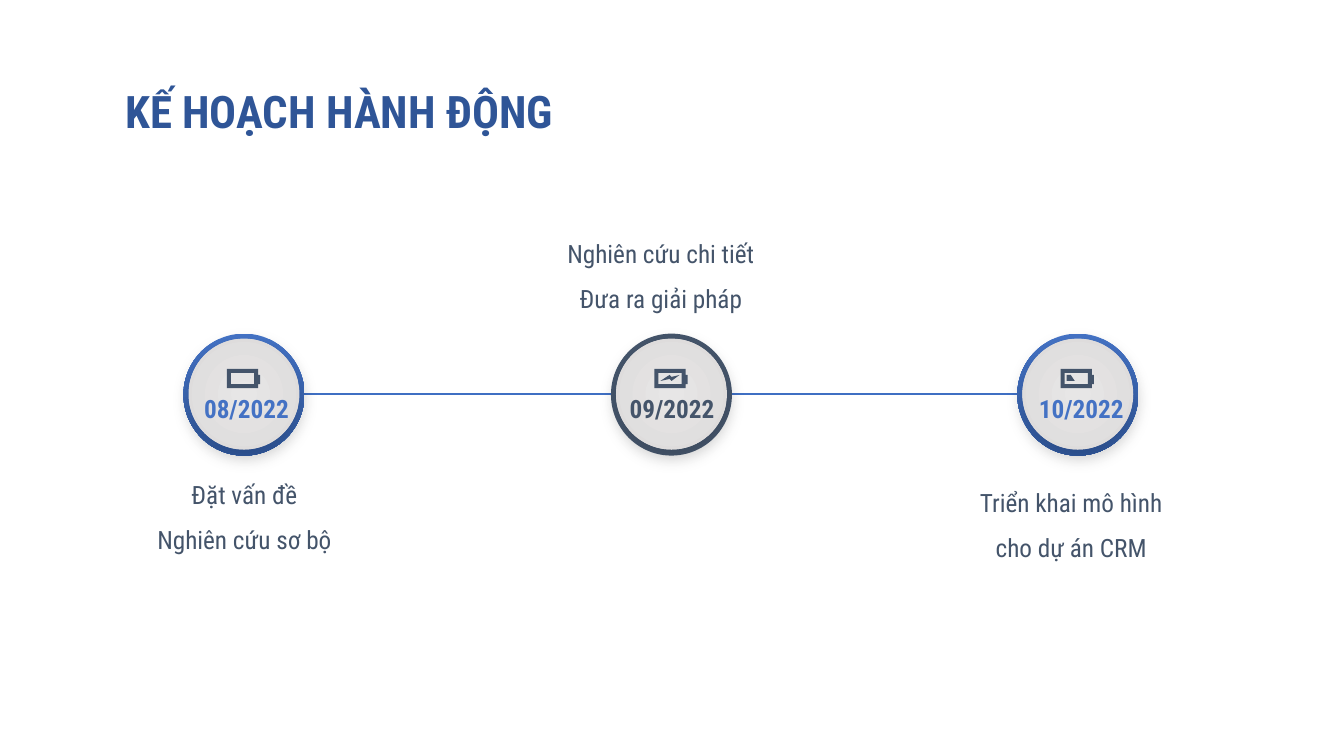
from lxml.etree import SubElement
from pptx import Presentation
from pptx.dml.color import RGBColor
from pptx.enum.shapes import MSO_CONNECTOR, MSO_SHAPE
from pptx.enum.text import MSO_ANCHOR, MSO_AUTO_SIZE, PP_ALIGN
from pptx.oxml.ns import qn
from pptx.util import Inches, Pt

FONT = "Roboto Condensed"
NAVY, BLUE, SLATE = "2F5597", "4472C4", "44546A"
TITLE = "KẾ HOẠCH HÀNH ĐỘNG"
STEPS = [
    {"left": 1.82, "date": "08/2022", "date_box": (1.98, 0.93),
     "ring": (BLUE, NAVY), "ink": BLUE, "mark": None,
     "note": ["Đặt vấn đề", "Nghiên cứu sơ bộ"], "note_at": (1.36, 4.6)},
    {"left": 6.06, "date": "09/2022", "date_box": (6.09, 1.15),
     "ring": (SLATE,), "ink": SLATE, "mark": "bolt",
     "note": ["Nghiên cứu chi tiết", "Đưa ra giải pháp"], "note_at": (5.49, 2.21)},
    {"left": 10.09, "date": "10/2022", "date_box": (10.26, 0.93),
     "ring": (BLUE, NAVY), "ink": BLUE, "mark": "low",
     "note": ["Triển khai mô hình cho dự án CRM"], "note_at": (9.56, 4.68)},
]
CASE = [
    [(31, 6), (31, 0), (0, 0), (0, 19), (31, 19), (31, 15), (33, 15), (33, 6)],
    [(27, 15), (4, 15), (4, 4), (27, 4)],
]
MARKS = {
    "bolt": [[(17, 12), (25, 6), (17, 8), (15, 6), (6, 12), (15, 10)]],
    "low": [[(10, 6), (6, 6), (6, 12), (14, 12)]],
}

deck = Presentation()
deck.slide_width, deck.slide_height = Inches(13.33), Inches(7.5)
slide = deck.slides.add_slide(deck.slide_layouts[6])


def color(code):
    return RGBColor.from_string(code)


def paint(shape, tones, radial=False):
    fill = shape.fill
    if len(tones) == 1:
        fill.solid()
        fill.fore_color.rgb = color(tones[0])
        return
    fill.gradient()
    fill.gradient_angle = 270
    for stop, tone in zip(fill.gradient_stops, tones):
        stop.color.rgb = color(tone)
    if radial:
        grad = shape.element.spPr.find(qn("a:gradFill"))
        grad.remove(grad.find(qn("a:lin")))
        focus = SubElement(grad, qn("a:path"), {"path": "circle"})
        SubElement(focus, qn("a:fillToRect"), {side: "50000" for side in "ltrb"})


def add_disc(left, top, width, height, tones, radial=False):
    disc = slide.shapes.add_shape(
        MSO_SHAPE.OVAL, Inches(left), Inches(top), Inches(width), Inches(height))
    paint(disc, tones, radial)
    disc.line.fill.background()
    disc.shadow.inherit = False
    effects = disc.element.spPr.find(qn("a:effectLst"))
    shade = SubElement(effects, qn("a:outerShdw"), {
        "blurRad": str(Pt(10)), "dist": str(Pt(4)), "dir": str(80 * 60000),
        "algn": "t", "rotWithShape": "0"})
    black = SubElement(shade, qn("a:srgbClr"), {"val": "000000"})
    SubElement(black, qn("a:alpha"), {"val": "10000"})


def add_text(left, top, width, height, lines, size, ink,
             bold=False, space=None, title=False):
    box = slide.shapes.add_textbox(
        Inches(left), Inches(top), Inches(width), Inches(height))
    frame = box.text_frame
    frame.word_wrap = not title
    frame.auto_size = MSO_AUTO_SIZE.SHAPE_TO_FIT_TEXT
    if not title:
        frame.vertical_anchor = MSO_ANCHOR.MIDDLE
        frame.margin_left = frame.margin_right = 0
        frame.margin_top = frame.margin_bottom = 0
    for index, line in enumerate(lines):
        para = frame.add_paragraph() if index else frame.paragraphs[0]
        para.alignment = PP_ALIGN.CENTER
        if space:
            para.line_spacing = space
        run = para.add_run()
        run.text = line
        run.font.name, run.font.size, run.font.bold = FONT, Pt(size), bold
        run.font.color.rgb = color(ink)


def add_glyph(parent, left, top, loops):
    pen = parent.build_freeform(*loops[0][0], scale=Inches(0.01))
    for index, loop in enumerate(loops):
        if index:
            pen.move_to(*loop[0])
        pen.add_line_segments(loop[1:], close=True)
    glyph = pen.convert_to_shape(Inches(left), Inches(top))
    paint(glyph, (SLATE,))
    glyph.line.fill.background()
    glyph.shadow.inherit = False


axis = slide.shapes.add_connector(
    MSO_CONNECTOR.STRAIGHT, Inches(2.71), Inches(3.91), Inches(10.62), Inches(3.91))
axis.line.color.rgb = color("3F6FC3")
axis.line.width = Pt(1.25)
SubElement(axis.element.spPr, qn("a:effectLst"))

for step in STEPS:
    left = step["left"]
    add_disc(left, 3.31, 1.2, 1.21, step["ring"])
    add_disc(left + 0.05, 3.36, 1.1, 1.1, ("E7E6E6", "DCDADA"), radial=True)
    start, width = step["date_box"]
    add_text(start, 3.9, width, 0.3, [step["date"]], 18, step["ink"], bold=True)
    mark = step["mark"]
    icon = slide.shapes.add_group_shape().shapes if mark else slide.shapes
    add_glyph(icon, left + 0.43, 3.66, CASE)
    if mark:
        add_glyph(icon, left + 0.43, 3.66, MARKS[mark])
    add_text(*step["note_at"], 2.13, 0.91, step["note"], 18, SLATE, space=1.5)

add_text(0.62, 0.67, 5.49, 0.75, [TITLE], 32, NAVY, bold=True, space=1.2, title=True)

deck.save("out.pptx")
